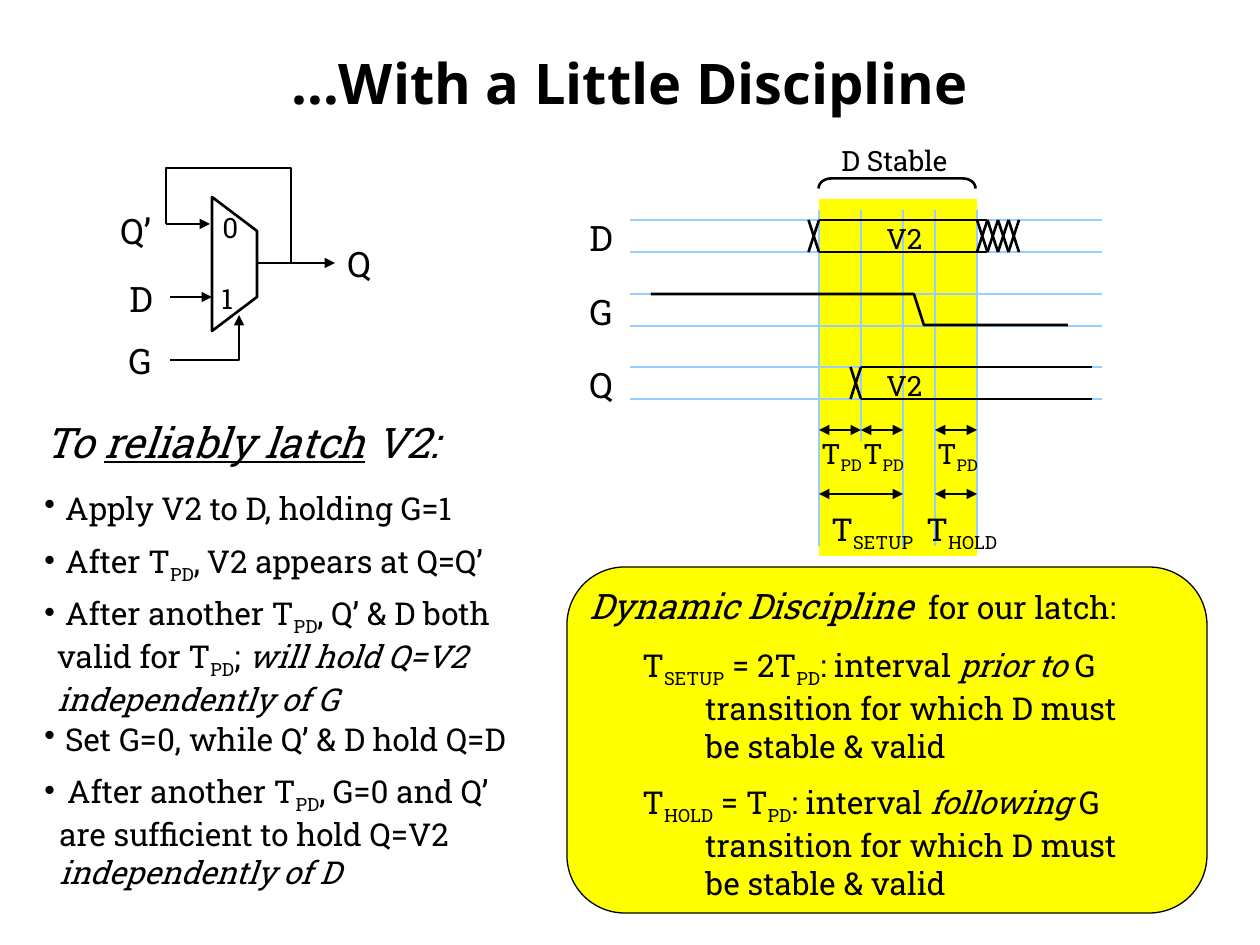
import pptx
import pptx.util
import pptx.dml.color
import pptx.enum.shapes
import pptx.enum.text
import pptx.oxml.ns
import lxml.etree
from dataclasses import dataclass

PX = 914400 / 126
SHAPE = pptx.enum.shapes.MSO_SHAPE
qn = pptx.oxml.ns.qn


@dataclass(frozen=True)
class Theme:
    """Colours, fonts, type sizes and line widths."""
    ink: str = "000000"
    guide: str = "99CCFF"
    highlight: str = "FFFF00"
    title_font: str = "Open Sans"
    font: str = "Roboto Slab"
    title: int = 32
    heading: int = 24
    label: int = 20
    body: int = 18
    small: int = 16
    thick: float = 1.5
    thin: float = 0.75


def emu(pixels):
    """Turn pixels into EMU."""
    return pptx.util.Emu(round(pixels * PX))


def rgb(value):
    """Make a colour from its hex digits."""
    return pptx.dml.color.RGBColor.from_string(value)


class Canvas:
    """Draws styled elements on one slide."""

    def __init__(self, slide, theme):
        self.s, self.t = slide, theme

    def stroke(self, sp, color, width, arrows=""):
        """Style a line; arrows may name 'head' and 'tail'."""
        sp.line.color.rgb = rgb(color)
        sp.line.width = pptx.util.Pt(width)
        for end in arrows.split():
            ln = sp.line._get_or_add_ln()
            lxml.etree.SubElement(ln, qn(f"a:{end}End"), type="triangle")

    def line(self, x1, y1, x2, y2, color=None, width=None, arrows=""):
        """Draw a straight line."""
        sp = self.s.shapes.add_connector(
            pptx.enum.shapes.MSO_CONNECTOR.STRAIGHT, emu(x1), emu(y1), emu(x2), emu(y2))
        self.stroke(sp, color or self.t.ink, width or self.t.thick, arrows)
        lxml.etree.SubElement(sp._element.spPr, qn("a:effectLst"))

    def guide(self, x1, y1, x2, y2):
        """Draw a thin guide line."""
        self.line(x1, y1, x2, y2, self.t.guide, self.t.thin)

    def span(self, x1, x2, y):
        """Draw a thin arrow with two heads."""
        self.line(x1, y, x2, y, width=self.t.thin, arrows="head tail")

    def cross(self, x, y, width, height):
        """Draw the crossing of a signal change."""
        self.line(x, y, x + width, y + height)
        self.line(x + width, y, x, y + height)

    def path_line(self, points, close=False, arrows=""):
        """Draw an unfilled outline through points."""
        fb = self.s.shapes.build_freeform(*points[0], scale=PX)
        fb.add_line_segments(points[1:], close=close)
        sp = fb.convert_to_shape()
        sp.shadow.inherit = False
        sp.fill.background()
        self.stroke(sp, self.t.ink, self.t.thick, arrows)

    def shape(self, kind, x, y, w, h, fill=None, width=None, adj=None, turn=0):
        """Draw a preset shape."""
        sp = self.s.shapes.add_shape(kind, emu(x), emu(y), emu(w), emu(h))
        sp.shadow.inherit = False
        sp.rotation = turn
        if adj is not None:
            sp.adjustments[0] = adj
        if fill:
            sp.fill.solid()
            sp.fill.fore_color.rgb = rgb(fill)
        else:
            sp.fill.background()
        if width:
            self.stroke(sp, self.t.ink, width)
        else:
            sp.line.fill.background()

    def text(self, x, y, w, h, runs, size, wrap=False, hang=0, bullet=False, title=False):
        """Add one paragraph; each run is (text, style, optional size)."""
        tf = self.s.shapes.add_textbox(emu(x), emu(y), emu(w), emu(h)).text_frame
        tf.word_wrap = wrap
        p = tf.paragraphs[0]
        if title:
            tf.vertical_anchor = pptx.enum.text.MSO_ANCHOR.MIDDLE
            p.alignment = pptx.enum.text.PP_ALIGN.CENTER
        if hang:
            pPr = p._p.get_or_add_pPr()
            pPr.set("marL", str(emu(hang)))
            pPr.set("indent", str(-emu(hang)))
            if bullet:
                lxml.etree.SubElement(pPr, qn("a:buChar"), char="•")
        for words, style, *own_size in runs:
            r = p.add_run()
            r.text = words
            r.font.name = self.t.title_font if title else self.t.font
            r.font.size = pptx.util.Pt(own_size[0] if own_size else size)
            r.font.color.rgb = rgb(self.t.ink)
            r.font.bold = title
            r.font.italic = "italic" in style
            r.font.underline = "underline" in style
            if "sub" in style:
                r.font._element.set("baseline", "-25000")

    def label(self, x, y, w, words, size, sub=""):
        """Add a one-line label with an optional subscript."""
        runs = [(words, "")] + ([(sub, "sub")] if sub else [])
        self.text(x, y, w, round(size * 2.2 + 11), runs, size)


prs = pptx.Presentation()
prs.slide_width, prs.slide_height = emu(1260), emu(945)
theme = Theme()
c = Canvas(prs.slides.add_slide(prs.slide_layouts[6]), theme)
PD = ("PD", "sub")

c.text(63, 38, 1134, 88, [("…With a Little Discipline", "")], theme.title, wrap=True, title=True)

# Highlighted areas and the stable interval
c.shape(SHAPE.RECTANGLE, 819, 199, 158, 357, theme.highlight)
c.shape(SHAPE.ROUNDED_RECTANGLE, 567, 567, 640, 346, theme.highlight, theme.thin, 0.167)
c.shape(SHAPE.LEFT_BRACKET, 892, 105, 10, 157, width=theme.thick, adj=1.25, turn=90)
c.label(829, 137, 149, "D Stable", theme.small)

# Multiplexer with feedback
c.path_line([(212, 331), (257, 297), (257, 231), (212, 197)], close=True)
c.line(257, 263, 335, 263, arrows="tail")
c.line(150 + 20, 297, 212, 297, arrows="tail")
c.line(166, 224, 210, 224, arrows="tail")
c.path_line([(170, 360), (239, 360), (239, 315)], arrows="tail")
c.path_line([(291, 263), (291, 168), (166, 168), (166, 224)])
for x, y, w, words, size in [
        (210, 204, 44, "0", theme.small), (209, 275, 44, "1", theme.small),
        (108, 203, 72, "Q’", theme.label), (117, 271, 54, "D", theme.label),
        (116, 333, 54, "G", theme.label), (335, 236, 54, "Q", theme.label)]:
    c.label(x, y, w, words, size)

# Timing diagram
START, LATCHED, SETUP, HOLD, END = 819, 861, 903, 935, 977
D_TOP, G_TOP, Q_TOP = 220, 294, 367
SWING, STEP = 32, 10.5
for name, top in [("D", D_TOP), ("G", G_TOP), ("Q", Q_TOP)]:
    c.label(577, top - 10, 54, name, theme.label)
    for y in (top, top + SWING):
        c.guide(630, y, 1102, y)
for x, bottom in [(START, 546), (LATCHED, 441), (SETUP, 546), (HOLD, 546), (END, 546)]:
    c.guide(x, 210, x, bottom)
for x1, x2, top in [(START, 987, D_TOP), (LATCHED, 1092, Q_TOP)]:
    c.cross(x1 - STEP, top, STEP, SWING)
    for y in (top, top + SWING):
        c.line(x1, y, x2, y)
    c.label(874, top - 5, 64, "V2", theme.small)
for i in range(4):
    c.cross(END + i * STEP, D_TOP, STEP, SWING)
c.path_line([(651, G_TOP), (914, G_TOP), (924, G_TOP + SWING - 1), (1068, G_TOP + SWING - 1)])
for x1, x2 in [(START, LATCHED), (LATCHED, SETUP), (HOLD, END)]:
    c.span(x1, x2, 430)
    c.label(x1 - 10, 430, 72, "T", theme.small, "PD")
for x1, x2, x, w, sub in [(START, SETUP, 819, 117, "SETUP"), (HOLD, END, 914, 108, "HOLD")]:
    c.span(x1, x2, 494)
    c.label(x, 504, w, "T", theme.body, sub)

# Steps
c.text(32, 410, 546, 64, [("To ", "italic"), ("reliably latch", "italic underline"),
                          (" V2:", "italic")], theme.heading, wrap=True, hang=48)
steps = [
    (483, 473, False, 13, [(" Apply V2 to D, holding G=1", "")]),
    (536, 508, False, 13, [(" After T", ""), PD, (",", ""), (" ", "", theme.small),
                           ("V2 appears at Q=Q’", "")]),
    (588, 483, True, 13, [(" After another T", ""), PD, (", Q’ & D both valid for T", ""), PD,
                          ("; ", ""), ("will hold Q=V2 independently of G", "italic")]),
    (714, 575, False, 13, [(" Set G=0, while Q’ & D hold Q=D", "")]),
    (766, 473, True, 15, [(" After another T", ""), PD, (",", ""), (" ", "", theme.small),
                          ("G=0 and Q’ are sufficient to hold Q=V2 ", ""),
                          ("independently of D", "italic")])]
for y, w, wrap, hang, runs in steps:
    c.text(32, y, w, 127 if wrap else 50, runs, theme.body, wrap, hang, bullet=True)

# Dynamic discipline
c.text(577, 578, 575, 55, [("Dynamic Discipline", "italic", theme.label),
                           ("  for our latch:", "")], theme.body)
for y, sub, equals, when in [(640, "SETUP", " = 2T", "prior to"),
                             (777, "HOLD", " = T", "following")]:
    c.text(630, y, 536, 127, [
        ("T", ""), (sub, "sub"), (equals, ""), PD, (": interval ", ""), (when, "italic"),
        (" G transition for which D must be stable & valid", "")],
        theme.body, wrap=True, hang=63)

prs.save("out.pptx")
